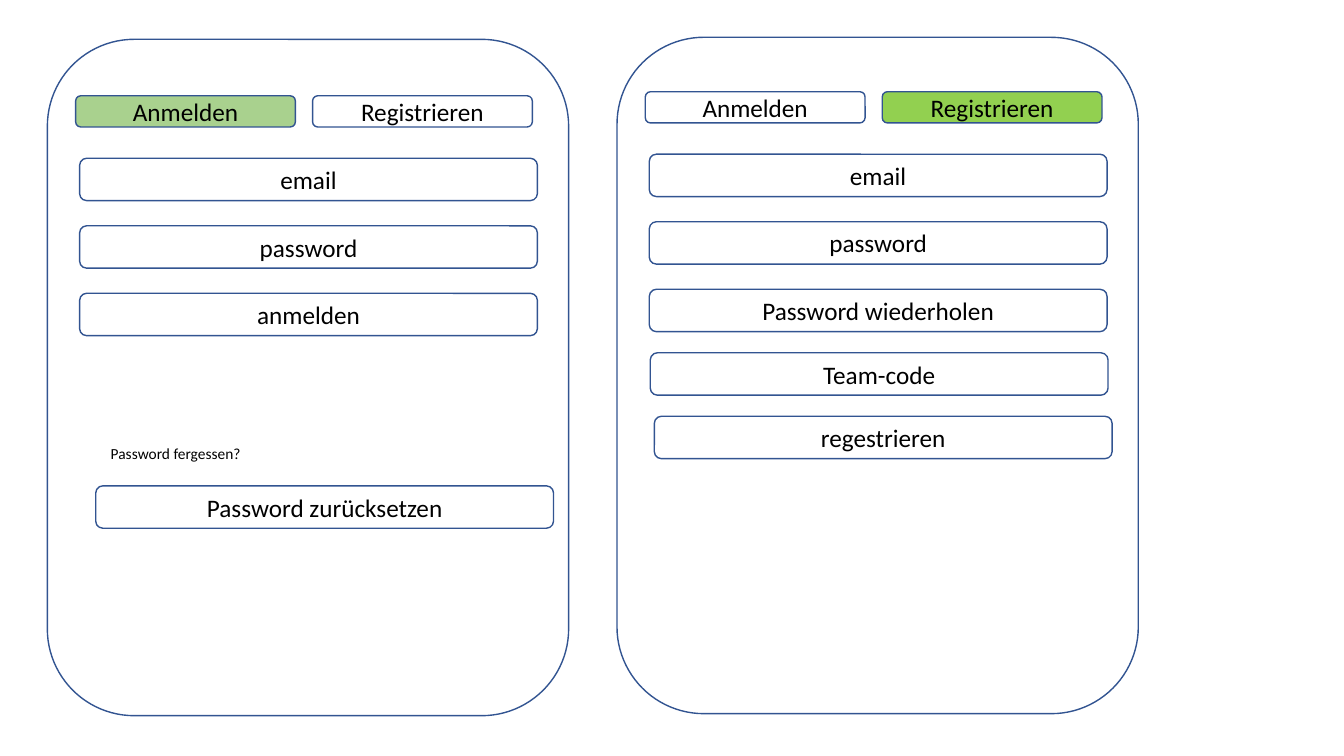
from pptx import Presentation
from pptx.dml.color import RGBColor
from pptx.enum.shapes import MSO_SHAPE
from pptx.enum.text import MSO_ANCHOR, PP_ALIGN
from pptx.util import Inches, Pt

BLUE = RGBColor(0x32, 0x54, 0x91)
BLACK = RGBColor(0, 0, 0)
SAGE = RGBColor(0xA9, 0xD1, 0x8E)
LIME = RGBColor(0x92, 0xD0, 0x50)
FONT = "Calibri"

TABS = ["Anmelden", "Registrieren"]
SCREENS = [
    {
        "left": 0.47, "top": 0.39, "tab_top": 0.95, "fills": [SAGE, None],
        "fields": ["email", "password", "anmelden"],
        "extras": [("Password zurücksetzen", 0.95, 4.82)],
    },
    {
        "left": 6.12, "top": 0.37, "tab_top": 0.91, "fills": [None, LIME],
        "fields": ["email", "password", "Password wiederholen"],
        "extras": [("Team-code", 6.45, 3.5), ("regestrieren", 6.49, 4.13)],
    },
]
HINT = "Password fergessen?"

PANEL = (5.17, 6.71)
TAB = (2.18, 0.31)
FIELD = (4.54, 0.42)
TAB_IN, TAB_STEP = 0.28, 2.35
FIELD_IN, FIELD_DROP, FIELD_STEP = 0.32, 0.62, 0.67


def style(frame, text, size):
    frame.text = text
    font = frame.paragraphs[0].runs[0].font
    font.name = FONT
    font.size = Pt(size)
    font.color.rgb = BLACK


def add_box(slide, left, top, size, text="", fill=None):
    box = slide.shapes.add_shape(
        MSO_SHAPE.ROUNDED_RECTANGLE,
        Inches(left), Inches(top), Inches(size[0]), Inches(size[1]))
    box.shadow.inherit = False
    box.line.color.rgb = BLUE
    box.line.width = Pt(1)
    if fill is None:
        box.fill.background()
    else:
        box.fill.solid()
        box.fill.fore_color.rgb = fill
    if text:
        frame = box.text_frame
        style(frame, text, 18)
        frame.vertical_anchor = MSO_ANCHOR.MIDDLE
        frame.paragraphs[0].alignment = PP_ALIGN.CENTER


def add_screen(slide, screen):
    left, tab_top = screen["left"], screen["tab_top"]
    add_box(slide, left, screen["top"], PANEL)
    for i, (text, fill) in enumerate(zip(TABS, screen["fills"])):
        add_box(slide, left + TAB_IN + i * TAB_STEP, tab_top, TAB, text, fill)
    for i, text in enumerate(screen["fields"]):
        top = tab_top + FIELD_DROP + i * FIELD_STEP
        add_box(slide, left + FIELD_IN, top, FIELD, text)
    for text, x, y in screen["extras"]:
        add_box(slide, x, y, FIELD, text)


def main():
    deck = Presentation()
    deck.slide_width = Inches(13.33)
    deck.slide_height = Inches(7.5)
    slide = deck.slides.add_slide(deck.slide_layouts[6])
    for screen in SCREENS:
        add_screen(slide, screen)
    hint = slide.shapes.add_textbox(
        Inches(1), Inches(4.36), Inches(2.34), Inches(0.29))
    hint.text_frame.word_wrap = True
    style(hint.text_frame, HINT, 11)
    deck.save("out.pptx")


if __name__ == "__main__":
    main()
